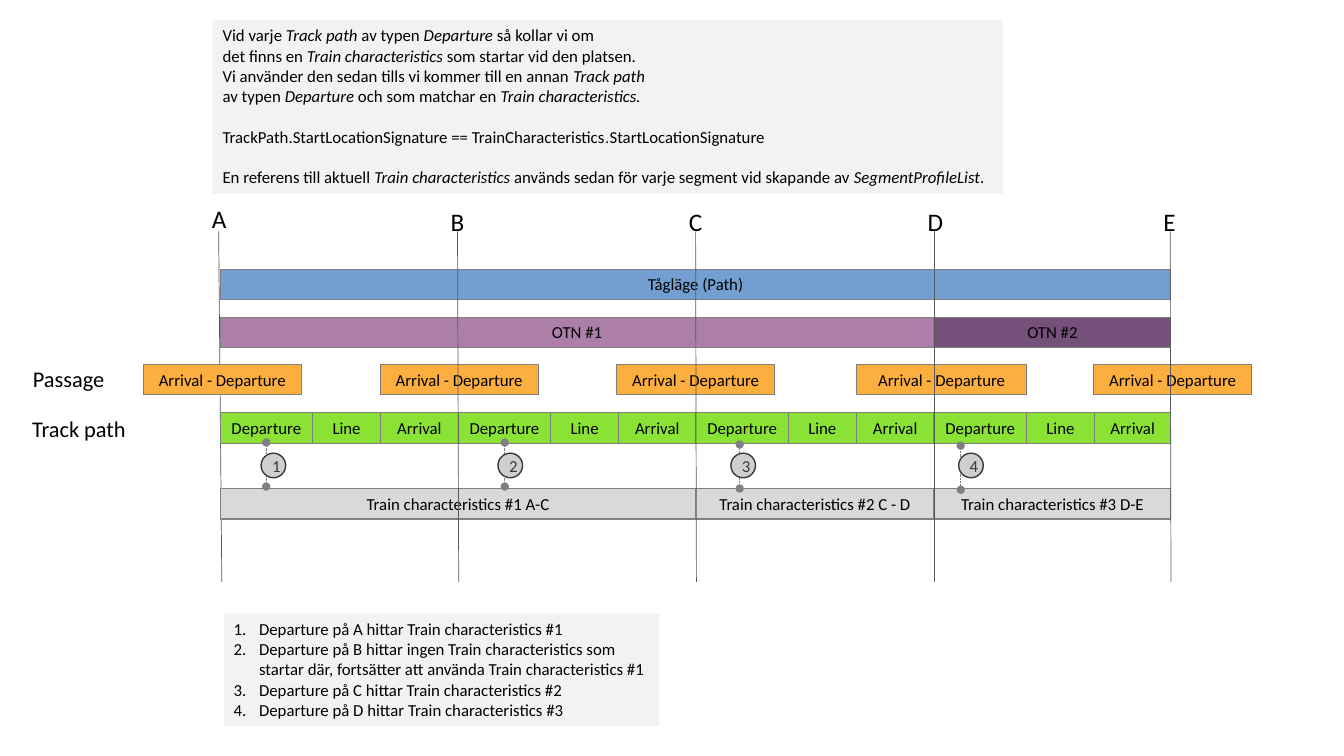
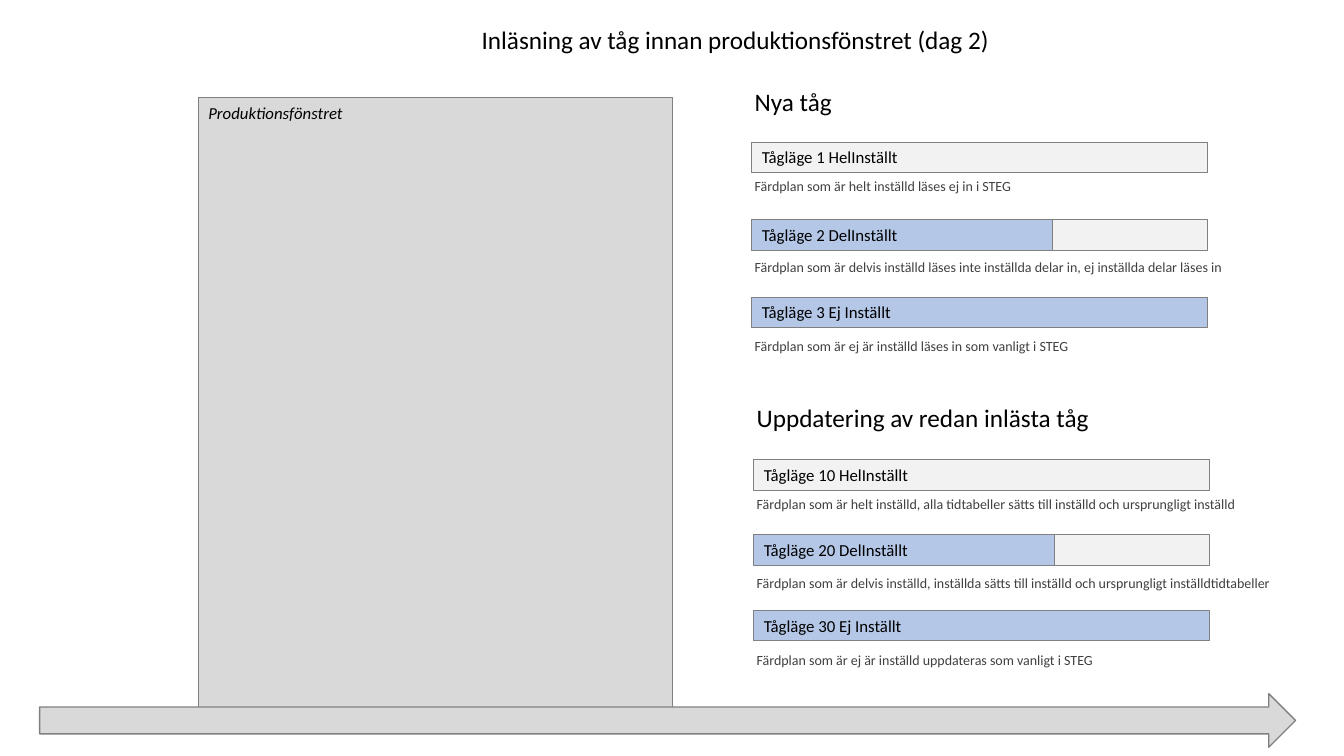
from lxml.etree import SubElement
from pptx import Presentation
from pptx.dml.color import RGBColor
from pptx.enum.dml import MSO_LINE
from pptx.enum.shapes import MSO_CONNECTOR, MSO_SHAPE
from pptx.enum.text import MSO_ANCHOR, PP_ALIGN
from pptx.oxml.ns import qn
from pptx.util import Cm, Pt

FONT = "Calibri"
BLACK, CAPTION, OUTLINE, STATION_LINE = "000000", "404040", "808080", "595959"
PALE, GREY, SILVER, CHARCOAL = "F2F2F2", "D9D9D9", "D0CECE", "3B3838"
BLUE, MAUVE, PURPLE, ORANGE, GREEN = "729FCF", "AD7FA8", "75507B", "FCAF3E", "8AE234"
LIGHT_BLUE = "B4C7E7"
BAR_HEIGHT = 0.77

ITALIC = {"italic": True}
DOT = {"name": "Roboto"}
RULE_NOTE = [
    (0, [("Vid varje ", {}), ("Track path", ITALIC), (" av typen ", {}),
         ("Departure", ITALIC), (" så kollar vi om", {})]),
    (0, [("det finns en ", {}), ("Train characteristics", ITALIC),
         (" som startar vid den platsen.", {})]),
    (0, [("Vi använder den sedan tills vi kommer till en annan ", {}),
         ("Track path", ITALIC)]),
    (0, [("av typen ", {}), ("Departure", ITALIC), (" och som matchar en ", {}),
         ("Train characteristics.", ITALIC)]),
    (14.6, [("TrackPath.StartLocationSignature == TrainCharacteristics", {}),
            (".", DOT), ("StartLocationSignature", {})]),
    (14.6, [("En referens till aktuell ", {}), ("Train characteristics ", ITALIC),
            ("används sedan för varje segment vid skapande av ", {}),
            ("SegmentProfileList", ITALIC), (".", {})]),
]
FINDINGS = [
    "Departure på A hittar Train characteristics #1",
    "Departure på B hittar ingen Train characteristics som "
    "startar där, fortsätter att använda Train characteristics #1",
    "Departure på C hittar Train characteristics #2",
    "Departure på D hittar Train characteristics #3",
]
STATIONS = [("A", 5.51, 5.59, 5.0), ("B", 11.53, 11.56, 5.08), ("C", 17.53, 17.55, 5.08),
            ("D", 23.55, 23.55, 5.08), ("E", 29.49, 29.51, 5.08)]
STOPS = [5.55, 11.55, 17.54, 23.54, 29.51]
SPANS = [
    ("Tågläge (Path)", 0, 4, 6.78, BLUE),
    ("OTN #1", 0, 3, 7.99, MAUVE),
    ("OTN #2", 3, 4, 7.99, PURPLE),
    ("Train characteristics #1 A-C", 0, 2, 12.31, GREY),
    ("Train characteristics #2 C - D", 2, 3, 12.31, GREY),
    ("Train characteristics #3 D-E", 3, 4, 12.31, GREY),
]
PASSAGES = [(3.61, 3.99), (9.58, 3.99), (15.54, 3.99), (21.59, 4.29), (27.56, 3.99)]
ROW_LABELS = [("Passage", 0.58, 9.07), ("Track path", 0.56, 10.34)]
MARKERS = [(6.71, 11.15, 6.58), (12.72, 11.15, 12.55), (18.64, 11.2, 18.42), (24.21, 11.23, 24.16)]

PANELS = [
    ("Nya tåg", 18.77, 2.06, 3.58, 1.955, [
        ("Tågläge 1 HelInställt", "Färdplan som är helt inställd läses ej in i STEG"),
        ("Tågläge 2 DelInställt", "Färdplan som är delvis inställd läses inte inställda delar in, "
                                  "ej inställda delar läses in"),
        ("Tågläge 3 Ej Inställt", "Färdplan som är ej är inställd läses in som vanligt i STEG"),
    ]),
    ("Uppdatering av redan inlästa tåg", 18.82, 10.01, 11.58, 1.9, [
        ("Tågläge 10 HelInställt", "Färdplan som är helt inställd, alla tidtabeller sätts till "
                                   "inställd och ursprungligt inställd"),
        ("Tågläge 20 DelInställt", "Färdplan som är delvis inställd, inställda sätts till inställd "
                                   "och ursprungligt inställdtidtabeller"),
        ("Tågläge 30 Ej Inställt", "Färdplan som är ej är inställd uppdateras som vanligt i STEG"),
    ]),
]
FULL_WIDTH, PART_WIDTH = 11.48, 7.57
BAR_STYLES = [(FULL_WIDTH, PALE, 0.78), (PART_WIDTH, LIGHT_BLUE, 0.86),
              (FULL_WIDTH, LIGHT_BLUE, 0.9)]


def rgb(value):
    return RGBColor.from_string(value)


def format_run(run, size=12, color=BLACK, name=FONT, italic=False):
    run.font.size = Pt(size)
    run.font.name = name
    run.font.italic = italic
    run.font.color.rgb = rgb(color)


def write(shape, text, align=PP_ALIGN.LEFT, **style):
    shape.text_frame.word_wrap = True
    paragraph = shape.text_frame.paragraphs[0]
    paragraph.text = text
    paragraph.alignment = align
    for run in paragraph.runs:
        format_run(run, **style)


def add_label(slide, text, left, top, width, height, **style):
    shape = slide.shapes.add_textbox(Cm(left), Cm(top), Cm(width), Cm(height))
    write(shape, text, **style)


def add_box(slide, left, top, width, height, fill, line=OUTLINE, line_width=0.75,
            preset=MSO_SHAPE.RECTANGLE):
    shape = slide.shapes.add_shape(preset, Cm(left), Cm(top), Cm(width), Cm(height))
    shape.shadow.inherit = False
    shape.fill.solid()
    shape.fill.fore_color.rgb = rgb(fill)
    if line:
        shape.line.color.rgb = rgb(line)
        shape.line.width = Pt(line_width)
    else:
        shape.line.fill.background()
    shape.text_frame.vertical_anchor = MSO_ANCHOR.TOP
    return shape


def add_bar(slide, text, left, top, width, fill, align=PP_ALIGN.CENTER):
    write(add_box(slide, left, top, width, BAR_HEIGHT, fill), text, align)


def add_line(slide, start_x, start_y, end_x, end_y, color):
    line = slide.shapes.add_connector(MSO_CONNECTOR.STRAIGHT, Cm(start_x), Cm(start_y),
                                      Cm(end_x), Cm(end_y))
    line.line.color.rgb = rgb(color)
    line.line.width = Pt(0.5)
    SubElement(line._element.spPr, qn("a:effectLst"))
    return line


def add_station(slide, letter, top_x, bottom_x, top):
    add_label(slide, letter, top_x - 0.42, top, 0.84, 0.88, size=18)
    add_line(slide, top_x, 5.83, bottom_x, 14.66, STATION_LINE)


def add_marker(slide, number, x, top, circle_left):
    pointer = add_line(slide, x, top, x, top + 1.11, OUTLINE)
    pointer.line.dash_style = MSO_LINE.ROUND_DOT
    outline = pointer.line._get_or_add_ln()
    for end in ("a:headEnd", "a:tailEnd"):
        SubElement(outline, qn(end), type="oval")
    circle = add_box(slide, circle_left, 11.42, 0.62, 0.62, SILVER, CHARCOAL, 1, MSO_SHAPE.OVAL)
    circle.text_frame.vertical_anchor = MSO_ANCHOR.MIDDLE
    write(circle, str(number), PP_ALIGN.CENTER, color=CHARCOAL)


def add_note(slide, left, top, width, height, paragraphs, numbered=False):
    frame = add_box(slide, left, top, width, height, PALE, None).text_frame
    frame.word_wrap = True
    for index, (space, runs) in enumerate(paragraphs):
        paragraph = frame.add_paragraph() if index else frame.paragraphs[0]
        paragraph.alignment = PP_ALIGN.LEFT
        paragraph.space_before = Pt(space)
        if numbered:
            properties = paragraph._p.get_or_add_pPr()
            properties.set("marL", str(Cm(0.64)))
            properties.set("indent", str(-Cm(0.64)))
            SubElement(properties, qn("a:buFont"), typeface="+mj-lt")
            SubElement(properties, qn("a:buAutoNum"), type="arabicPeriod")
        for text, style in runs:
            run = paragraph.add_run()
            run.text = text
            format_run(run, **style)


def build_characteristics(slide):
    add_station(slide, *STATIONS[0])
    for text, first, last, top, fill in SPANS:
        add_bar(slide, text, STOPS[first], top, STOPS[last] - STOPS[first], fill)
    for left, width in PASSAGES:
        add_bar(slide, "Arrival - Departure", left, 9.18, width, ORANGE)
    for start, end in zip(STOPS, STOPS[1:]):
        edges = [start, start + 2.33, start + 4.04, end]
        for text, left, right in zip(["Departure", "Line", "Arrival"], edges, edges[1:]):
            add_bar(slide, text, left, 10.4, right - left, GREEN)
    for text, left, top in ROW_LABELS:
        add_label(slide, text, left, top, 3, 0.94, size=16)
    for station in STATIONS[1:]:
        add_station(slide, *station)
    for number, marker in enumerate(MARKERS, 1):
        add_marker(slide, number, *marker)
    add_note(slide, 5.36, 0.51, 19.91, 4.37, RULE_NOTE)
    add_note(slide, 5.64, 15.47, 10.97, 2.82, [(0, [(text, {})]) for text in FINDINGS], True)


def build_import(slide):
    window = add_box(slide, 5, 2.46, 11.94, 15.6, GREY)
    write(window, "Produktionsfönstret", italic=True)
    add_label(slide, "Inläsning av tåg innan produktionsfönstret (dag 2)", 11.89, 0.48, 14, 1.02,
              size=18)
    for heading, left, heading_top, first_top, pitch, trains in PANELS:
        add_label(slide, heading, left, heading_top, 10, 1.02, size=18)
        bar_left = left + 0.18
        for index, ((name, caption), style) in enumerate(zip(trains, BAR_STYLES)):
            width, fill, caption_offset = style
            top = first_top + index * pitch
            add_bar(slide, name, bar_left, top, width, fill, PP_ALIGN.LEFT)
            if width < FULL_WIDTH:
                add_box(slide, bar_left + width, top, FULL_WIDTH - width, BAR_HEIGHT, PALE)
            add_label(slide, caption, left, top + caption_offset, 14, 0.69, size=10, color=CAPTION)
    add_box(slide, 1, 17.48, 31.65, 1.35, GREY, line_width=1, preset=MSO_SHAPE.RIGHT_ARROW)


def main():
    presentation = Presentation()
    presentation.slide_width = Cm(33.87)
    presentation.slide_height = Cm(19.05)
    for build in (build_characteristics, build_import):
        build(presentation.slides.add_slide(presentation.slide_layouts[6]))
    presentation.save("out.pptx")


if __name__ == "__main__":
    main()
